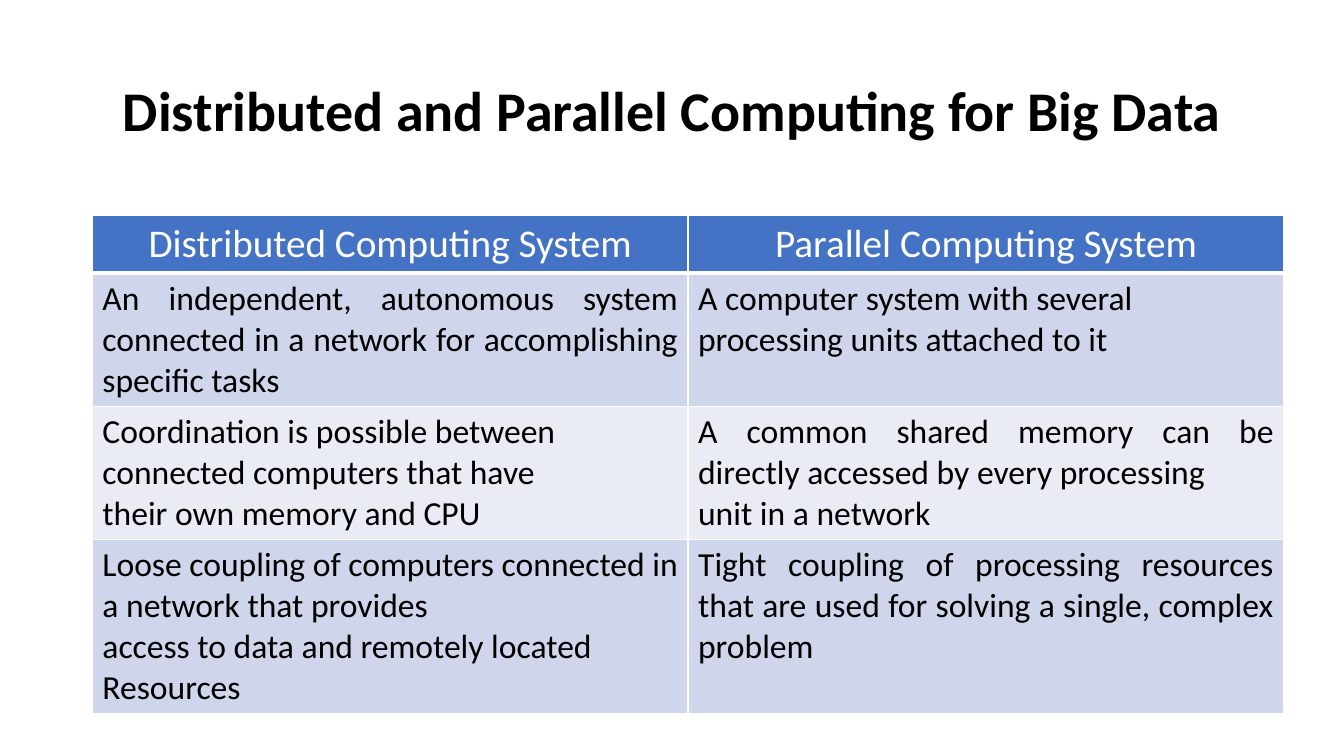
"""Build a slide that compares distributed and parallel computing systems."""
from dataclasses import dataclass

from lxml import etree
from pptx import Presentation
from pptx.dml.color import RGBColor
from pptx.enum.text import MSO_ANCHOR, PP_ALIGN
from pptx.oxml.ns import qn
from pptx.slide import Slide
from pptx.table import _Cell
from pptx.text.text import _Paragraph
from pptx.util import Pt

CENTER = PP_ALIGN.CENTER
JUSTIFY = PP_ALIGN.JUSTIFY
MIDDLE = MSO_ANCHOR.MIDDLE

BLACK = RGBColor(0x00, 0x00, 0x00)
WHITE = RGBColor(0xFF, 0xFF, 0xFF)
HEADER_BLUE = RGBColor(0x44, 0x72, 0xC4)
BAND_DARK = RGBColor(0xCF, 0xD5, 0xEA)
BAND_LIGHT = RGBColor(0xE9, 0xEB, 0xF5)

FONT = "Calibri"
LEFT = 66
COLUMN_WIDTH = 425.5


@dataclass(frozen=True)
class RowStyle:
    fill: RGBColor
    color: RGBColor
    size: float
    alignment: PP_ALIGN
    top_border: float = 1
    bottom_border: float = 1


@dataclass(frozen=True)
class ComparisonRow:
    height: float
    style: RowStyle
    distributed: str
    parallel: str


HEADER = RowStyle(HEADER_BLUE, WHITE, 28, CENTER, bottom_border=3)
FIRST = RowStyle(BAND_DARK, BLACK, 24, JUSTIFY, top_border=3)
LIGHT = RowStyle(BAND_LIGHT, BLACK, 24, JUSTIFY)
DARK = RowStyle(BAND_DARK, BLACK, 24, JUSTIFY)

ROWS = [
    ComparisonRow(38, HEADER, "Distributed Computing System", "Parallel Computing System"),
    ComparisonRow(
        86.4, FIRST,
        "An independent, autonomous system connected in a network for accomplishing specific tasks",
        "A computer system with several\nprocessing units attached to it",
    ),
    ComparisonRow(
        86.4, LIGHT,
        "Coordination is possible between\nconnected computers that have\ntheir own memory and CPU",
        "A common shared memory can be directly accessed by every processing\nunit in a network",
    ),
    ComparisonRow(
        112.3, DARK,
        "Loose coupling of computers connected in a network that provides\n"
        "access to data and remotely located\nResources",
        "Tight coupling of processing resources that are used for solving a single, complex problem",
    ),
]


def format_paragraph(paragraph: _Paragraph, size: float, color: RGBColor,
                     alignment: PP_ALIGN, bold: bool = False) -> None:
    paragraph.alignment = alignment
    paragraph.font.name = FONT
    paragraph.font.size = Pt(size)
    paragraph.font.bold = bold
    paragraph.font.color.rgb = color


def add_borders(cell: _Cell, style: RowStyle) -> None:
    properties = cell._tc.get_or_add_tcPr()
    widths = {"lnL": 1, "lnR": 1, "lnT": style.top_border, "lnB": style.bottom_border}
    for tag, width in widths.items():
        line = etree.SubElement(properties, qn(f"a:{tag}"), w=str(Pt(width)))
        fill = etree.SubElement(line, qn("a:solidFill"))
        etree.SubElement(fill, qn("a:srgbClr"), val=str(WHITE))


def fill_cell(cell: _Cell, text: str, style: RowStyle) -> None:
    add_borders(cell, style)
    cell.fill.solid()
    cell.fill.fore_color.rgb = style.fill
    cell.text = text
    for paragraph in cell.text_frame.paragraphs:
        format_paragraph(paragraph, style.size, style.color, style.alignment)


def add_title(slide: Slide) -> None:
    title = slide.shapes.title
    title.left, title.top, title.width, title.height = Pt(LEFT), Pt(28.8), Pt(828), Pt(104.4)
    title.text_frame.text = "Distributed and Parallel Computing for Big Data"
    title.text_frame.vertical_anchor = MIDDLE
    paragraph = title.text_frame.paragraphs[0]
    paragraph.line_spacing = 0.9
    format_paragraph(paragraph, 40, BLACK, CENTER, bold=True)


def add_comparison(slide: Slide) -> None:
    height = sum(row.height for row in ROWS)
    table = slide.shapes.add_table(
        len(ROWS), 2, Pt(LEFT), Pt(153.6), Pt(2 * COLUMN_WIDTH), Pt(height)
    ).table
    for table_row, row in zip(table.rows, ROWS):
        table_row.height = Pt(row.height)
        for cell, text in zip(table_row.cells, (row.distributed, row.parallel)):
            fill_cell(cell, text, row.style)


def main() -> None:
    presentation = Presentation()
    presentation.slide_width, presentation.slide_height = Pt(960), Pt(540)
    slide = presentation.slides.add_slide(presentation.slide_layouts[5])
    add_title(slide)
    add_comparison(slide)
    presentation.save("out.pptx")


if __name__ == "__main__":
    main()
